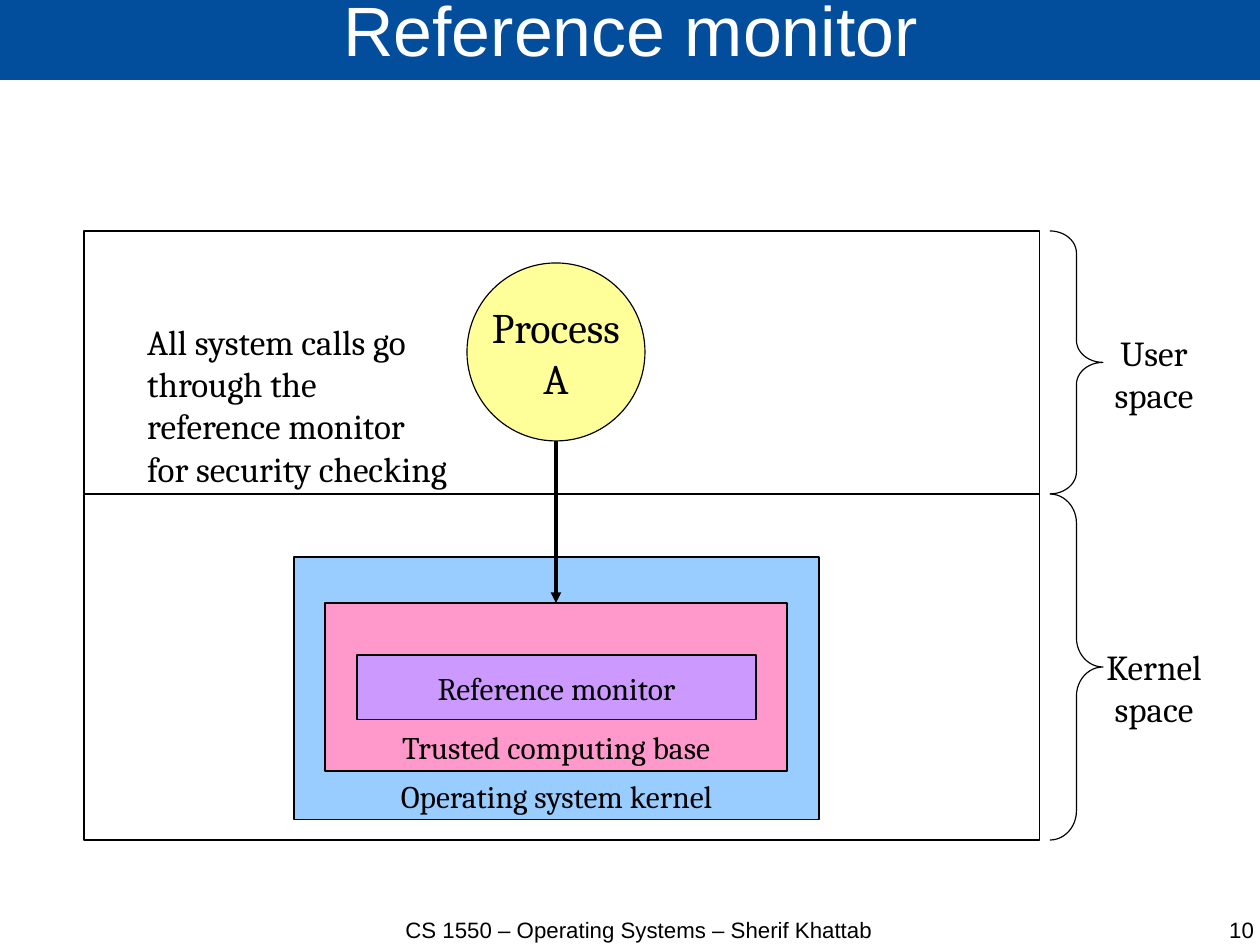
from lxml import etree
from pptx import Presentation
from pptx.dml.color import RGBColor
from pptx.enum.shapes import MSO_CONNECTOR, MSO_SHAPE as SHAPE
from pptx.enum.text import MSO_ANCHOR as ANCHOR, PP_ALIGN as ALIGN
from pptx.oxml.ns import qn
from pptx.util import Pt

PX = 8000
COLORS = {
    "banner": "024E9D", "white": "FFFFFF", "black": "000000",
    "kernel": "99CCFF", "base": "FF99CC", "monitor": "CC99FF",
    "process": "FFFF99",
}


def color(name):
    return RGBColor.from_string(COLORS[name])


def add_box(text, left, top, width, height, kind=None, fill=None, line=True,
            size=22.1, font="Cambria", ink="black", align=ALIGN.CENTER,
            anchor=ANCHOR.TOP, wrap=False, inset=True, spacing=None):
    """Add a preset shape, or a text box if kind is None; sizes in px."""
    place = [value * PX for value in (left, top, width, height)]
    if kind is None:
        box = page.shapes.add_textbox(*place)
    else:
        box = page.shapes.add_shape(kind, *place)
        box.shadow.inherit = False
        if fill:
            box.fill.solid()
            box.fill.fore_color.rgb = color(fill)
        else:
            box.fill.background()
        if line:
            box.line.color.rgb = color("black")
            box.line.width = Pt(0.75)
        else:
            box.line.fill.background()
    if text:
        frame = box.text_frame
        frame.word_wrap = wrap
        frame.vertical_anchor = anchor
        if not inset:
            frame.margin_left = frame.margin_right = 0
            frame.margin_top = frame.margin_bottom = 0
        para = frame.paragraphs[0]
        para.text = text
        para.alignment = align
        if spacing:
            para.line_spacing = spacing
        for span in para.runs:
            span.font.size = Pt(size)
            span.font.name = font
            span.font.color.rgb = color(ink)
    return box


deck = Presentation()
deck.slide_width, deck.slide_height = 1260 * PX, 945 * PX
page = deck.slides.add_slide(deck.slide_layouts[6])

# Banner and footer
plain = dict(font="Arial", wrap=True, inset=False)
add_box("Reference monitor", 0, -2, 1262, 82, SHAPE.RECTANGLE, "banner",
        line=False, size=44, ink="white", anchor=ANCHOR.MIDDLE, spacing=0.69,
        **plain)
add_box("CS 1550 – Operating Systems – Sherif Khattab", 351, 916, 576, 63,
        size=14, **plain)
add_box("10", 965, 916, 289, 63, size=14, align=ALIGN.RIGHT, **plain)

# User and kernel space, each with its brace and label
spaces = [
    ("User\vspace", 231, 263, 0.417, 326),
    ("Kernel\vspace", 494, 346, 0.55, 640),
]
for label, top, height, curl, label_top in spaces:
    add_box("", 84, top, 956, height, SHAPE.RECTANGLE, "white")
    brace = add_box("", 1050, top, 53, height, SHAPE.RIGHT_BRACE)
    brace.adjustments[0] = curl
    add_box(label, 1095, label_top, 118, 96)

# Nested layers of the kernel
layers = [
    ("Operating system kernel", 294, 557, 525, 263, "kernel", ANCHOR.BOTTOM),
    ("Trusted computing base", 325, 603, 462, 168, "base", ANCHOR.BOTTOM),
    ("Reference monitor", 357, 655, 399, 65, "monitor", ANCHOR.MIDDLE),
]
for label, left, top, width, height, fill, anchor in layers:
    add_box(label, left, top, width, height, SHAPE.RECTANGLE, fill,
            size=19.8, anchor=anchor)

# Process and its system call
add_box("Process\vA", 467, 263, 178, 178, SHAPE.OVAL, "process",
        size=26.5, anchor=ANCHOR.MIDDLE)
call = page.shapes.add_connector(MSO_CONNECTOR.STRAIGHT, 556 * PX, 441 * PX,
                                 556 * PX, 603 * PX)
call.line.color.rgb = color("black")
call.line.width = Pt(2.25)
etree.SubElement(call.line._get_or_add_ln(), qn("a:tailEnd"), type="triangle")
etree.SubElement(call._element.spPr, qn("a:effectLst"))

add_box("All system calls go through the reference monitor for security "
        "checking", 136, 315, 326, 182, align=ALIGN.LEFT, wrap=True)

deck.save("out.pptx")
